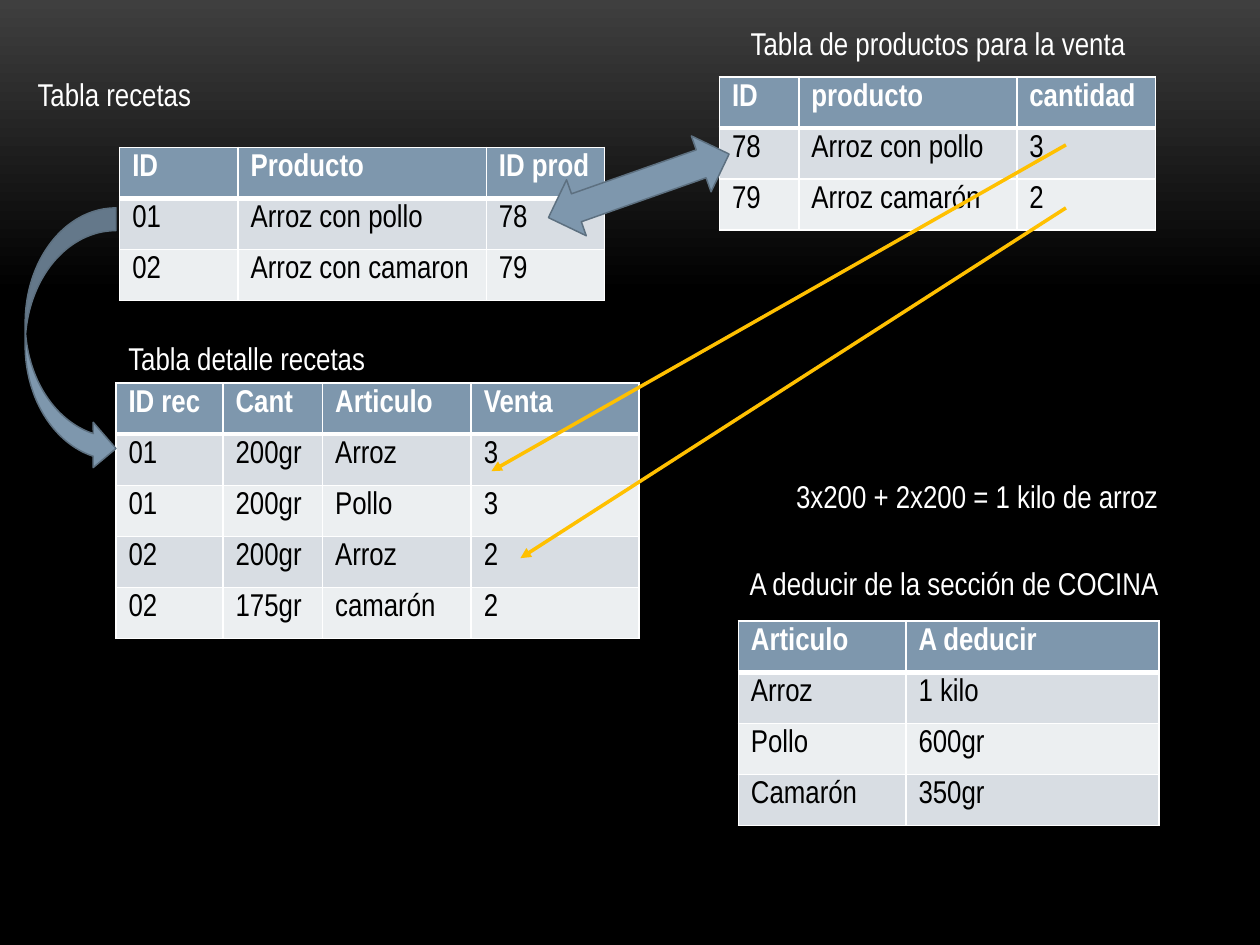
from dataclasses import dataclass

from lxml.etree import SubElement
from pptx import Presentation
from pptx.dml.color import RGBColor
from pptx.enum.shapes import MSO_CONNECTOR, MSO_SHAPE
from pptx.enum.text import MSO_AUTO_SIZE
from pptx.oxml import parse_xml
from pptx.oxml.ns import nsdecls, qn
from pptx.util import Inches, Pt

GRID_COLUMNS = 100
SLIDE_WIDTH, SLIDE_HEIGHT = Inches(10), Inches(7.5)
UNIT = SLIDE_WIDTH / GRID_COLUMNS  # square grid: 100 columns by 75 rows
TABLE_ROW = Pt(29.2)
LABEL_HEIGHT = 4
WHITE, BLACK, STEEL, STEEL_EDGE, AMBER = "FFFFFF", "000000", "7E97AD", "5D7080", "FFC000"
BANDS = ("D8DDE3", "ECEFF1")


@dataclass
class DataTable:
    column: float
    row: float
    widths: tuple[float, ...]
    records: list[tuple[str, ...]]


@dataclass
class Label:
    column: float
    row: float
    width: float
    text: str


@dataclass
class SaleArrow:
    start: tuple[float, float]
    end: tuple[float, float]


@dataclass
class BlockArrow:
    preset: MSO_SHAPE
    box: tuple[float, float, float, float]
    rotation: float = 0


DETAIL = DataTable(9.2, 30.4, (8.5, 7.9, 11.8, 13.3), [
    ("ID rec", "Cant", "Articulo", "Venta"),
    ("01", "200gr", "Arroz", "3"),
    ("01", "200gr", "Pollo", "3"),
    ("02", "200gr", "Arroz", "2"),
    ("02", "175gr", "camarón", "2"),
])
PRODUCTS = DataTable(57.1, 6.1, (6.3, 17.3, 11), [
    ("ID", "producto", "cantidad"),
    ("78", "Arroz con pollo", "3"),
    ("79", "Arroz camarón", "2"),
])
DEDUCTIONS = DataTable(58.6, 49.3, (13.3, 20.1), [
    ("Articulo", "A deducir"),
    ("Arroz", "1 kilo"),
    ("Pollo", "600gr"),
    ("Camarón", "350gr"),
])
RECIPES = DataTable(9.5, 11.7, (9.4, 19.7, 9.4), [
    ("ID", "Producto", "ID prod"),
    ("01", "Arroz con pollo", "78"),
    ("02", "Arroz con camaron", "79"),
])

# Back to front
CONTENT = [
    DETAIL,
    Label(9.2, 26.4, 21.1, "Tabla detalle recetas"),
    PRODUCTS,
    SaleArrow((84.6, 11.5), (39, 37.4)),
    SaleArrow((84.6, 16.5), (41.3, 44.3)),
    DEDUCTIONS,
    Label(58.5, 44.3, 34.9, "A deducir de la sección de COCINA"),
    RECIPES,
    Label(2, 5.5, 14.4, "Tabla recetas"),
    BlockArrow(MSO_SHAPE.LEFT_RIGHT_ARROW, (43.1, 12.4, 15.2, 4.7), 340.6),
    BlockArrow(MSO_SHAPE.CURVED_RIGHT_ARROW, (2, 16.5, 7.2, 20.9)),
    Label(58.6, 1.4, 32.2, "Tabla de productos para la venta"),
    Label(62.2, 37.4, 31.1, "3x200 + 2x200 = 1 kilo de arroz"),
]


def rgb(color: str) -> RGBColor:
    return RGBColor.from_string(color)


def grid(*units: float) -> list[int]:
    return [round(unit * UNIT) for unit in units]


def write(frame, text: str, color: str, bold: bool = False) -> None:
    run = frame.paragraphs[0].add_run()
    run.text = text
    for attribute, value in {"name": "Arial Narrow", "size": Pt(18), "bold": bold}.items():
        setattr(run.font, attribute, value)
    run.font.color.rgb = rgb(color)


def border_cell(cell, bottom: float) -> None:
    """White 1 pt edges, with the bottom edge at its own weight."""
    properties = cell._tc.get_or_add_tcPr()
    for index, (side, points) in enumerate({"L": 1, "R": 1, "T": 1, "B": bottom}.items()):
        properties.insert(index, parse_xml(
            f'<a:ln{side} {nsdecls("a")} w="{Pt(points)}"><a:solidFill>'
            f'<a:srgbClr val="{WHITE}"/></a:solidFill></a:ln{side}>'))


def draw_table(shapes, data: DataTable) -> None:
    rows = len(data.records)
    table = shapes.add_table(rows, len(data.widths), *grid(data.column, data.row, sum(data.widths)),
                             TABLE_ROW * rows).table
    for column, width in zip(table.columns, grid(*data.widths)):
        column.width = width
    for index, record in enumerate(data.records):
        table.rows[index].height = TABLE_ROW
        header = index == 0
        for cell, text in zip(table.rows[index].cells, record):
            cell.fill.solid()
            cell.fill.fore_color.rgb = rgb(STEEL if header else BANDS[(index - 1) % 2])
            # The rule under the header belongs to both rows it separates
            border_cell(cell, 3 if header else 1)
            if index == 1:
                cell._tc.tcPr.find(qn("a:lnT")).set("w", str(Pt(3)))
            write(cell.text_frame, text, WHITE if header else BLACK, header)


def draw_label(shapes, label: Label) -> None:
    frame = shapes.add_textbox(*grid(label.column, label.row, label.width, LABEL_HEIGHT)).text_frame
    frame.word_wrap = False
    frame.auto_size = MSO_AUTO_SIZE.SHAPE_TO_FIT_TEXT
    write(frame, label.text, WHITE)


def draw_sale_arrow(shapes, arrow: SaleArrow) -> None:
    connector = shapes.add_connector(MSO_CONNECTOR.STRAIGHT, *grid(*arrow.start, *arrow.end))
    connector.line.color.rgb = rgb(AMBER)
    connector.line.width = Pt(2)
    SubElement(connector.line._get_or_add_ln(), qn("a:tailEnd"), type="triangle")
    SubElement(connector._element.spPr, qn("a:effectLst"))


def draw_block_arrow(shapes, arrow: BlockArrow) -> None:
    shape = shapes.add_shape(arrow.preset, *grid(*arrow.box))
    shape.rotation = arrow.rotation
    shape.shadow.inherit = False
    shape.fill.solid()
    shape.fill.fore_color.rgb = rgb(STEEL)
    shape.line.color.rgb = rgb(STEEL_EDGE)
    shape.line.width = Pt(0.85)


def paint_background(slide) -> None:
    fill = slide.background.fill
    fill.gradient()
    fill.gradient_angle = 270
    for stop, (position, color) in zip(fill.gradient_stops, ((0, "3F3F3F"), (0.31, BLACK))):
        stop.position = position
        stop.color.rgb = rgb(color)


DRAWERS = {DataTable: draw_table, Label: draw_label,
           SaleArrow: draw_sale_arrow, BlockArrow: draw_block_arrow}


def main() -> None:
    deck = Presentation()
    deck.slide_width, deck.slide_height = SLIDE_WIDTH, SLIDE_HEIGHT
    slide = deck.slides.add_slide(deck.slide_layouts[6])
    paint_background(slide)
    for item in CONTENT:
        DRAWERS[type(item)](slide.shapes, item)
    deck.save("out.pptx")


if __name__ == "__main__":
    main()
